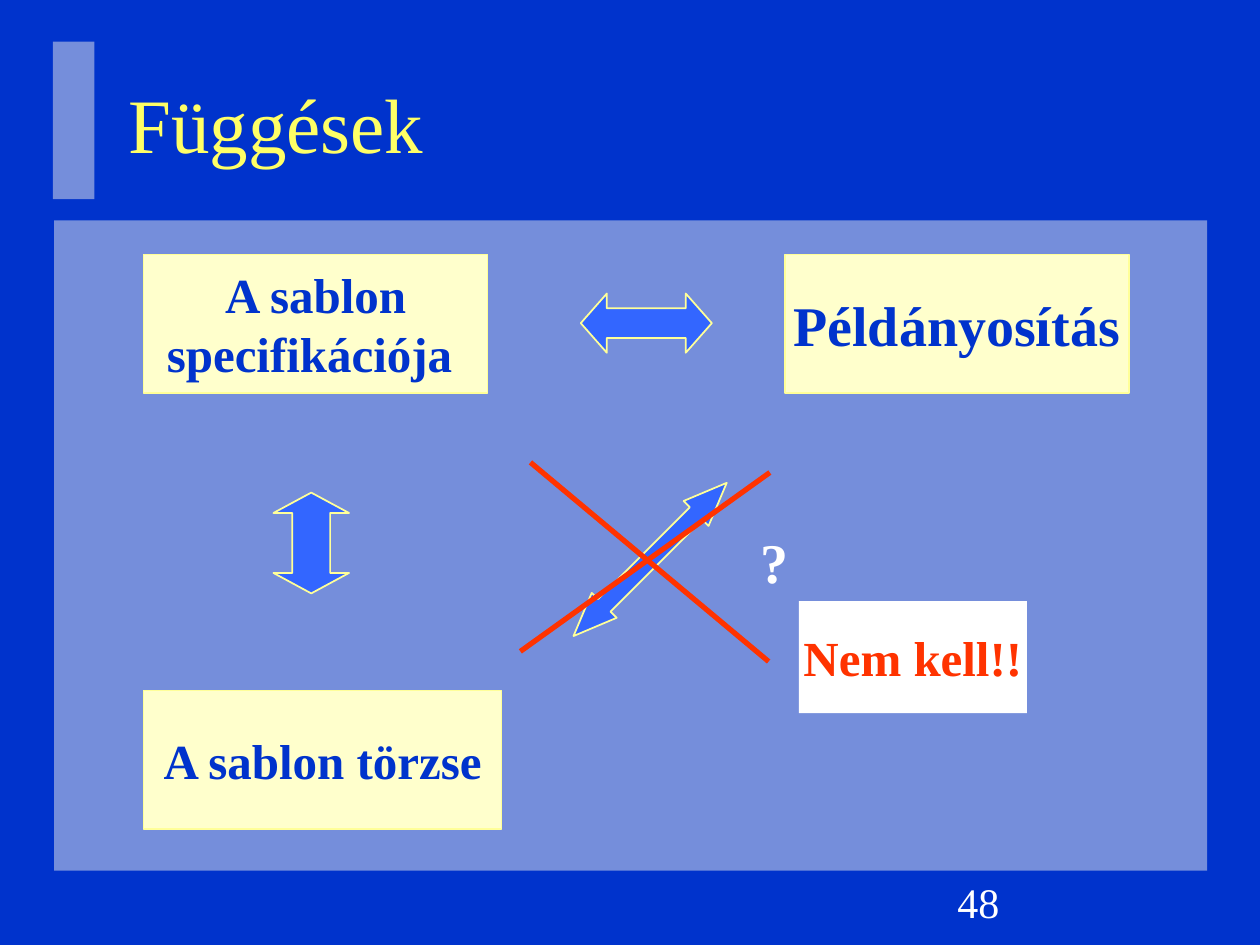
from dataclasses import dataclass
from typing import Optional

from lxml import etree
from pptx import Presentation
from pptx import util as u
from pptx.dml.color import RGBColor
from pptx.enum import shapes, text
from pptx.oxml import ns

BLUE = RGBColor(0x00, 0x33, 0xCC)
ARROW_BLUE = RGBColor(0x33, 0x66, 0xFF)
PANEL_GREY = RGBColor(0xEA, 0xEA, 0xEA)
CREAM = RGBColor(0xFF, 0xFF, 0xCC)
PALE_YELLOW = RGBColor(0xFF, 0xFF, 0x99)
TITLE_YELLOW = RGBColor(0xFF, 0xFF, 0x66)
RED = RGBColor(0xFF, 0x33, 0x00)
WHITE = RGBColor(0xFF, 0xFF, 0xFF)
FONT = "Times New Roman"


@dataclass
class Area:
    left: float
    top: float
    width: float
    height: float

    def lengths(self) -> list:
        return [u.Inches(n) for n in (self.left, self.top, self.width, self.height)]


@dataclass
class Box:
    area: Area
    lines: list[str]
    size: int = 28
    fill: RGBColor = CREAM
    line: Optional[RGBColor] = PALE_YELLOW
    color: RGBColor = BLUE


@dataclass
class Arrow:
    area: Area
    head: float
    rotation: int = 0


@dataclass
class Label:
    area: Area
    words: str
    size: int
    color: RGBColor = WHITE
    bold: bool = False
    anchor: text.MSO_ANCHOR = text.MSO_ANCHOR.MIDDLE
    space_before: int = 0


@dataclass
class Stroke:
    start: tuple[float, float]
    end: tuple[float, float]


PANELS = [Area(0.43, 1.75, 9.15, 5.16), Area(0.42, 0.33, 0.33, 1.25)]
BOXES = [
    Box(Area(1.14, 2.02, 2.73, 1.1), ["A sablon", "specifikációja "]),
    Box(Area(1.14, 5.48, 2.84, 1.1), ["A sablon törzse"]),
    Box(Area(6.23, 2.02, 2.73, 1.1), ["Példányosítás"], size=32),
]
ANSWER = Box(Area(6.34, 4.77, 1.81, 0.89), ["Nem kell!!"],
             fill=WHITE, line=None, color=RED)
ARROWS = [
    Arrow(Area(4.61, 2.33, 1.04, 0.47), 0.44),
    Arrow(Area(2.07, 4.01, 0.8, 0.6), 0.27, 90),
    Arrow(Area(4.3, 4.3, 1.72, 0.28), 1.23, 135),
]
CROSS = [Stroke((4.21, 3.67), (6.1, 5.25)), Stroke((6.11, 3.75), (4.13, 5.17))]
LABELS = [
    Label(Area(0.92, 0.37, 8.5, 1.21), "Függések", 44, TITLE_YELLOW),
    Label(Area(5.94, 4.14, 0.65, 0.64), "?", 32, bold=True,
          anchor=text.MSO_ANCHOR.TOP, space_before=20),
    Label(Area(7.5, 6.91, 2.08, 0.5), "48", 24),
]


def add_preset(slide, kind, area: Area, fill: RGBColor, line: Optional[RGBColor]):
    shape = slide.shapes.add_shape(kind, *area.lengths())
    shape.shadow.inherit = False
    shape.fill.solid()
    shape.fill.fore_color.rgb = fill
    if line is None:
        shape.line.fill.background()
    else:
        shape.line.color.rgb = line
        shape.line.width = u.Pt(1)
    return shape


def add_run(paragraph, words: str, size: int, color: RGBColor, bold: bool) -> None:
    run = paragraph.add_run()
    run.text = words
    run.font.name = FONT
    run.font.size = u.Pt(size)
    run.font.bold = bold
    run.font.color.rgb = color


def draw_panel(slide, area: Area) -> None:
    shape = add_preset(slide, shapes.MSO_SHAPE.RECTANGLE, area, PANEL_GREY, None)
    color = shape._element.spPr.find(ns.qn("a:solidFill"))[0]
    etree.SubElement(color, ns.qn("a:alpha"), val="50000")


def draw_box(slide, box: Box) -> None:
    shape = add_preset(slide, shapes.MSO_SHAPE.RECTANGLE, box.area, box.fill, box.line)
    frame = shape.text_frame
    frame.word_wrap = False
    frame.vertical_anchor = text.MSO_ANCHOR.MIDDLE
    for index, words in enumerate(box.lines):
        paragraph = frame.add_paragraph() if index else frame.paragraphs[0]
        paragraph.alignment = text.PP_ALIGN.CENTER
        add_run(paragraph, words, box.size, box.color, True)


def draw_arrow(slide, arrow: Arrow) -> None:
    shape = add_preset(slide, shapes.MSO_SHAPE.LEFT_RIGHT_ARROW, arrow.area,
                       ARROW_BLUE, PALE_YELLOW)
    shape.adjustments[0] = 0.5
    shape.adjustments[1] = arrow.head
    shape.rotation = arrow.rotation


def draw_stroke(slide, stroke: Stroke) -> None:
    points = [u.Inches(n) for n in (*stroke.start, *stroke.end)]
    connector = slide.shapes.add_connector(shapes.MSO_CONNECTOR.STRAIGHT, *points)
    connector.line.color.rgb = RED
    connector.line.width = u.Pt(3)
    etree.SubElement(connector._element.spPr, ns.qn("a:effectLst"))


def draw_label(slide, label: Label) -> None:
    frame = slide.shapes.add_textbox(*label.area.lengths()).text_frame
    frame.word_wrap = True
    frame.vertical_anchor = label.anchor
    paragraph = frame.paragraphs[0]
    paragraph.space_before = u.Pt(label.space_before)
    add_run(paragraph, label.words, label.size, label.color, label.bold)


def main() -> None:
    presentation = Presentation()
    presentation.slide_width = u.Inches(10)
    presentation.slide_height = u.Inches(7.5)
    slide = presentation.slides.add_slide(presentation.slide_layouts[6])
    slide.background.fill.solid()
    slide.background.fill.fore_color.rgb = BLUE

    # Translucent panels behind the content
    for panel in PANELS:
        draw_panel(slide, panel)

    # Template parts and the dependencies between them
    for box in BOXES:
        draw_box(slide, box)
    for arrow in ARROWS:
        draw_arrow(slide, arrow)

    # Crossed-out dependency and its answer
    draw_box(slide, ANSWER)
    for stroke in CROSS:
        draw_stroke(slide, stroke)

    # Title, question mark and slide number
    for label in LABELS:
        draw_label(slide, label)

    presentation.save("out.pptx")


if __name__ == "__main__":
    main()
